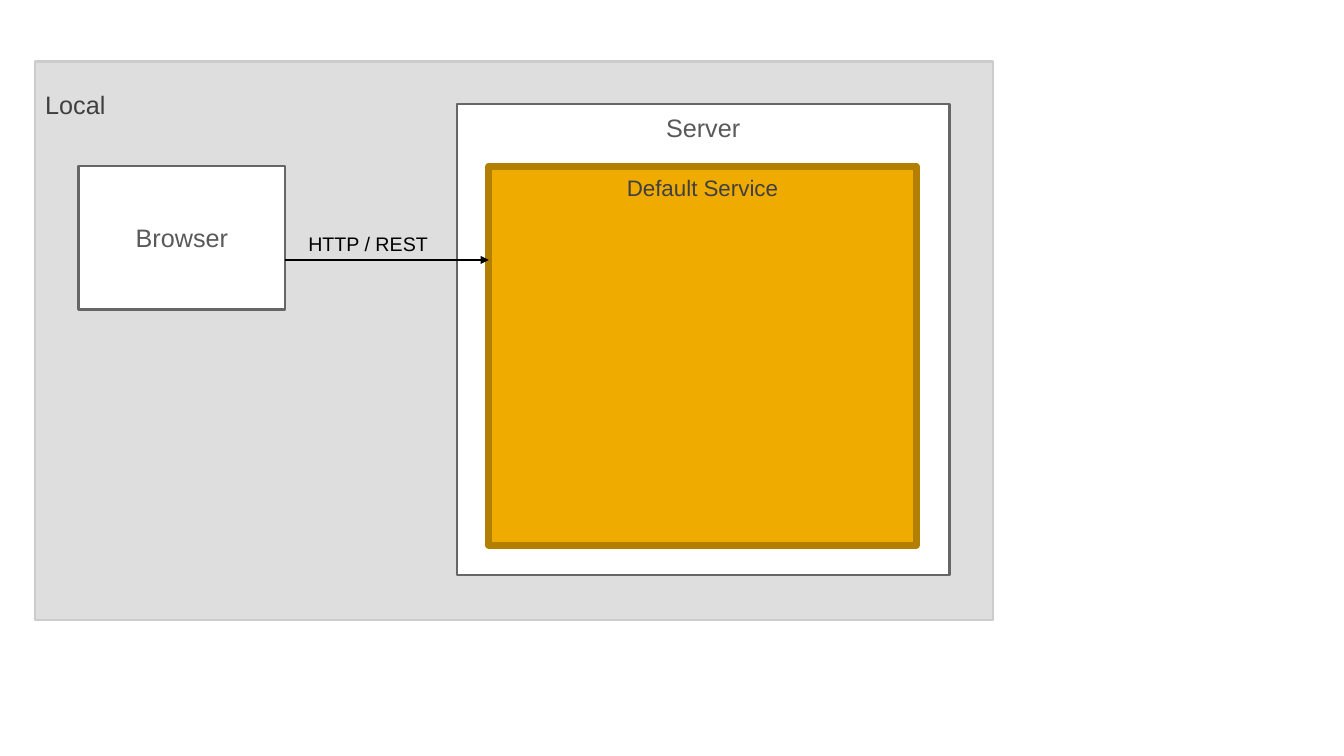
from dataclasses import dataclass

from lxml import etree
from pptx import Presentation
from pptx import util as u
from pptx.dml.color import RGBColor
from pptx.enum import shapes, text
from pptx.oxml import ns
from pptx.shapes.autoshape import Shape
from pptx.slide import Slide


@dataclass(frozen=True)
class Theme:
    font: str = "Arial"
    white: str = "FFFFFF"
    black: str = "000000"
    zone_fill: str = "B8B8B8"
    zone_line: str = "CCCCCC"
    box_line: str = "666666"
    service_fill: str = "F0AB00"
    service_line: str = "B27F00"
    dark_text: str = "404040"
    grey_text: str = "595959"
    title_size: float = 18
    service_size: float = 16
    label_size: float = 14
    thin_line: float = 1.5
    thick_line: float = 5
    arrow_line: float = 1.25


THEME = Theme()


@dataclass(frozen=True)
class Panel:
    """A captioned rectangle; lengths are in centimetres."""
    caption: str
    left: float
    top: float
    width: float
    height: float
    fill: str = THEME.white
    line: str = THEME.box_line
    line_width: float = THEME.thin_line
    color: str = THEME.grey_text
    size: float = THEME.title_size
    align: text.PP_ALIGN = text.PP_ALIGN.CENTER
    anchor: text.MSO_ANCHOR = text.MSO_ANCHOR.TOP
    top_inset: float = 0.2
    opacity: int = 100


LOCAL = Panel("Local", 0.89, 1.55, 24.13, 14.07, fill=THEME.zone_fill,
              line=THEME.zone_line, color=THEME.dark_text,
              align=text.PP_ALIGN.LEFT, top_inset=0.71, opacity=46)
SERVER = Panel("Server", 11.51, 2.62, 12.42, 11.86)
SERVICE = Panel("Default Service", 12.32, 4.19, 10.77, 9.55,
                fill=THEME.service_fill, line=THEME.service_line,
                line_width=THEME.thick_line, color=THEME.dark_text,
                size=THEME.service_size)
BROWSER = Panel("Browser", 1.98, 4.19, 5.21, 3.61, anchor=text.MSO_ANCHOR.MIDDLE)
REQUEST_Y = 6.55


def write(shape: Shape, wording: str, size: float, color: str,
          align: text.PP_ALIGN) -> None:
    shape.text_frame.text = wording
    paragraph = shape.text_frame.paragraphs[0]
    paragraph.alignment = align
    font = paragraph.runs[0].font
    font.name = THEME.font
    font.size = u.Pt(size)
    font.color.rgb = RGBColor.from_string(color)


def add_panel(slide: Slide, panel: Panel) -> None:
    shape = slide.shapes.add_shape(
        shapes.MSO_SHAPE.RECTANGLE, u.Cm(panel.left), u.Cm(panel.top),
        u.Cm(panel.width), u.Cm(panel.height))
    shape.shadow.inherit = False
    shape.fill.solid()
    shape.fill.fore_color.rgb = RGBColor.from_string(panel.fill)
    if panel.opacity < 100:
        fill_color = shape.element.spPr.find(ns.qn("a:solidFill"))[0]
        etree.SubElement(fill_color, ns.qn("a:alpha"), val=str(panel.opacity * 1000))
    shape.line.color.rgb = RGBColor.from_string(panel.line)
    shape.line.width = u.Pt(panel.line_width)
    frame = shape.text_frame
    frame.word_wrap = True
    frame.vertical_anchor = panel.anchor
    frame.margin_left = frame.margin_right = u.Cm(0.25)
    frame.margin_top, frame.margin_bottom = u.Cm(panel.top_inset), u.Cm(0.2)
    write(shape, panel.caption, panel.size, panel.color, panel.align)


def add_label(slide: Slide, wording: str, left: float, top: float,
              width: float, height: float) -> None:
    label = slide.shapes.add_textbox(u.Cm(left), u.Cm(top), u.Cm(width), u.Cm(height))
    label.text_frame.word_wrap = True
    label.text_frame.auto_size = text.MSO_AUTO_SIZE.SHAPE_TO_FIT_TEXT
    write(label, wording, THEME.label_size, THEME.black, text.PP_ALIGN.LEFT)


def add_arrow(slide: Slide, start: float, end: float, y: float) -> None:
    arrow = slide.shapes.add_connector(
        shapes.MSO_CONNECTOR.STRAIGHT, u.Cm(start), u.Cm(y), u.Cm(end), u.Cm(y))
    arrow.line.color.rgb = RGBColor.from_string(THEME.black)
    arrow.line.width = u.Pt(THEME.arrow_line)
    properties = arrow.element.spPr
    etree.SubElement(properties.find(ns.qn("a:ln")), ns.qn("a:tailEnd"), type="triangle")
    etree.SubElement(properties, ns.qn("a:effectLst"))


def main() -> None:
    presentation = Presentation()
    presentation.slide_width, presentation.slide_height = u.Cm(33.87), u.Cm(19.05)
    slide = presentation.slides.add_slide(presentation.slide_layouts[6])
    for panel in (LOCAL, SERVER, SERVICE, BROWSER):
        add_panel(slide, panel)
    add_label(slide, "HTTP / REST", 7.52, 5.72, 3.66, 0.86)
    add_arrow(slide, BROWSER.left + BROWSER.width, SERVICE.left, REQUEST_Y)
    presentation.save("out.pptx")


if __name__ == "__main__":
    main()
